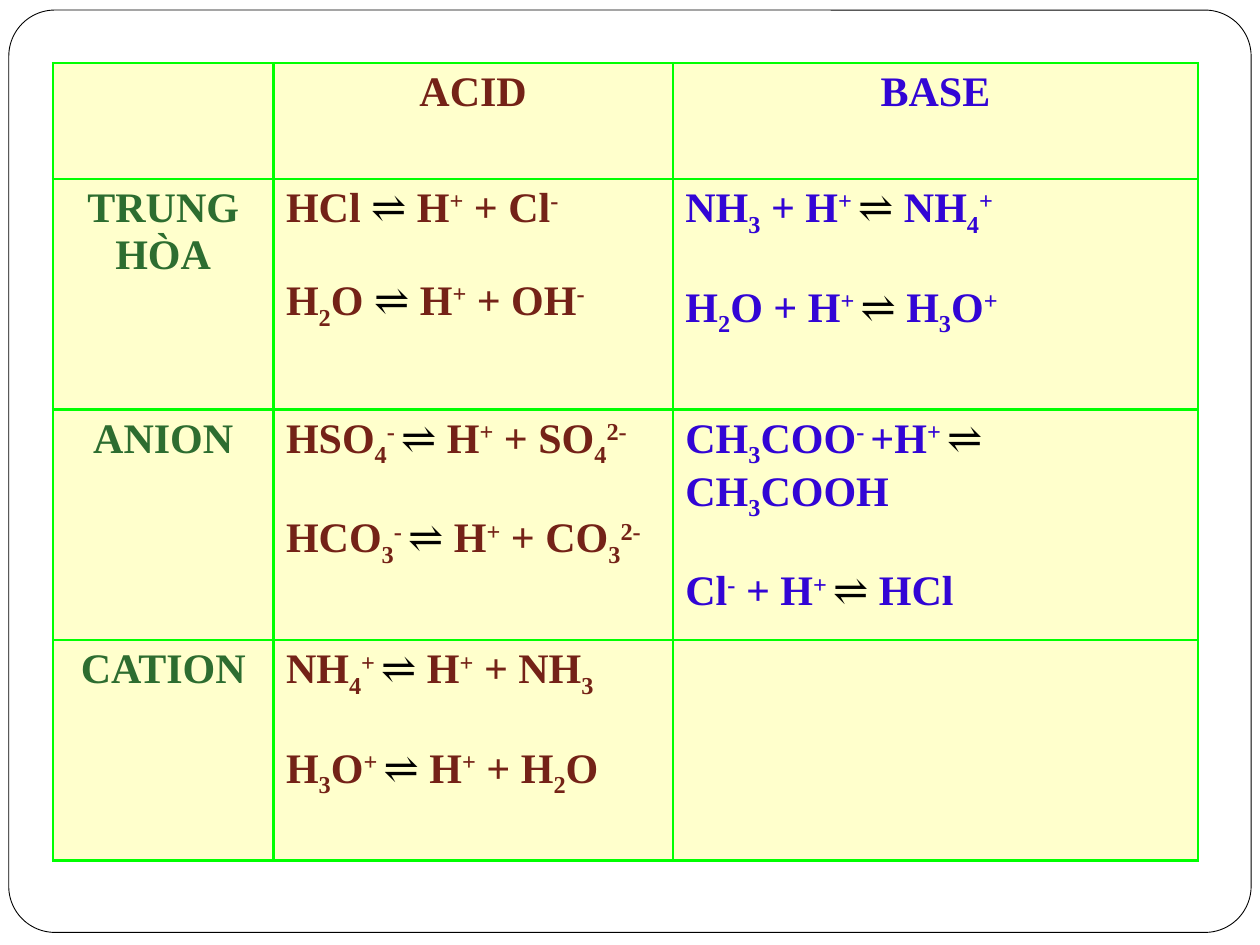
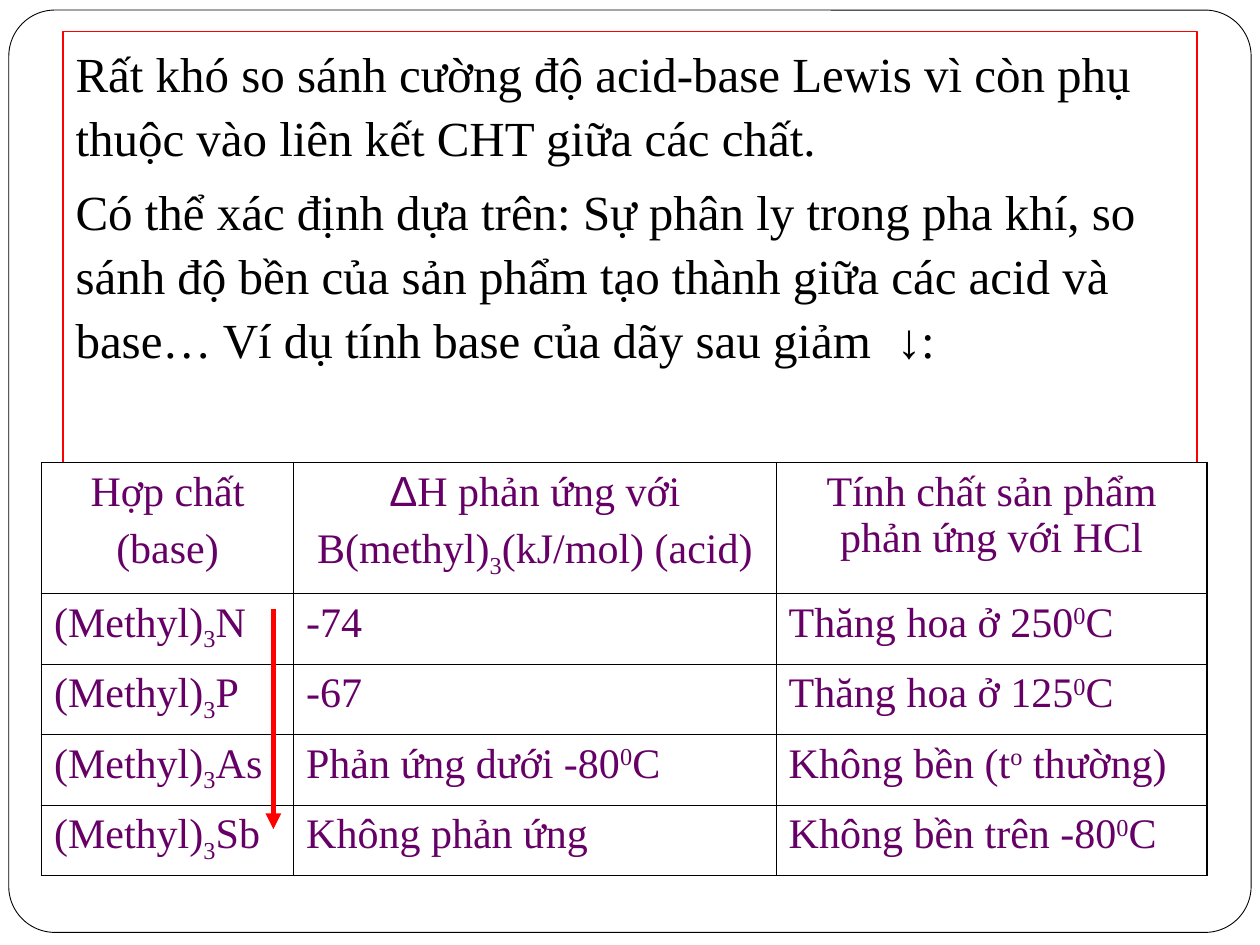
from dataclasses import dataclass

from lxml.etree import SubElement
from pptx import Presentation
from pptx.dml.color import RGBColor
from pptx.enum.shapes import MSO_CONNECTOR as CONN, MSO_SHAPE as SHAPE
from pptx.enum.text import MSO_AUTO_SIZE as AUTO, PP_ALIGN as ALIGN
from pptx.oxml import parse_xml
from pptx.oxml.ns import nsdecls, qn
from pptx.util import Inches, Pt


@dataclass(frozen=True)
class Theme:
    """Colours, fonts and type sizes of the deck."""
    font: str = "Times New Roman"
    symbol_font: str = "Arial"
    body_size: int = 28
    table_size: int = 24
    black: str = "000000"
    white: str = "FFFFFF"
    red: str = "FF0000"
    cream: str = "FFFFCC"
    grid_green: str = "00FF00"
    acid: str = "742217"
    base: str = "3205D5"
    kind: str = "2D6D30"
    purple: str = "660066"


T = Theme()
BASELINES = {"_": "-25000", "^": "30000"}

ACID_BASE = [
    [[], ["ACID"], ["BASE"]],
    [["TRUNG HÒA"],
     ["HCl |⇌| H|^+| + Cl|^-", "H|_2|O |⇌| H|^+| + OH|^-"],
     ["NH|_3| + H|^+ |⇌| NH|_4|^+", "H|_2|O + H|^+ |⇌| H|_3|O|^+"]],
    [["ANION"],
     ["HSO|_4|^- |⇌| H|^+| + SO|_4|^2-", "HCO|_3|^- |⇌| H|^+| + CO|_3|^2-"],
     ["CH|_3|COO|^- |+H|^+ |⇌| CH|_3|COOH", "Cl|^-| + H|^+ |⇌| HCl"]],
    [["CATION"],
     ["NH|_4|^+ |⇌| H|^+| + NH|_3", "H|_3|O|^+ |⇌| H|^+| + H|_2|O"],
     []],
]

LEWIS_TEXT = [
    "Rất khó so sánh cường độ acid-base Lewis vì còn phụ thuộc vào "
    "liên kết CHT giữa các chất.",
    "Có thể xác định dựa trên: Sự phân ly trong pha khí, so sánh độ bền của "
    "sản phẩm tạo thành giữa các acid và base… "
    "Ví dụ tính base của dãy sau giảm | ↓|:",
]

LEWIS_BASES = [
    [["Hợp chất", "(base)"],
     ["Δ|H phản ứng với", "B(methyl)|_3|(kJ/mol) (acid)"],
     ["Tính chất sản phẩm phản ứng với HCl"]],
    [["(Methyl)|_3|N"], ["-74"], ["Thăng hoa ở 250|^0|C"]],
    [["(Methyl)|_3|P"], ["-67"], ["Thăng hoa ở 125|^0|C"]],
    [["(Methyl)|_3|As"], ["Phản ứng dưới -80|^0|C"],
     ["Không bền (t|^o| thường)"]],
    [["(Methyl)|_3|Sb"], ["Không phản ứng"], ["Không bền trên -80|^0|C"]],
]


def rgb(color):
    """Turn a hex string into a colour."""
    return RGBColor.from_string(color)


def add_run(p, piece, size, color, bold):
    """Add one piece; a leading _ or ^ makes it a subscript or superscript."""
    baseline = BASELINES.get(piece[0])
    r = p.add_run()
    r.text = piece[1:] if baseline else piece
    is_arrow = piece == "⇌"
    r.font.name = T.symbol_font if piece.strip() in "Δ↓" else T.font
    r.font.size = Pt(size)
    r.font.bold = bold and not is_arrow
    r.font.color.rgb = rgb(T.black if is_arrow else color)
    if baseline:
        r.font._element.set("baseline", baseline)


def write(tf, lines, size=T.table_size, color=T.black, bold=False,
          align=ALIGN.LEFT, gap=0, spacing=None):
    """Write lines of |-separated pieces as paragraphs."""
    for i, line in enumerate(lines):
        p = tf.add_paragraph() if i else tf.paragraphs[0]
        p.alignment = align
        p.space_before = Pt(gap if i else 0)
        if spacing:
            p.line_spacing = spacing
        for piece in line.split("|"):
            add_run(p, piece, size, color, bold)


def set_borders(cell, color, widths):
    """Give a cell its left, right, top and bottom borders."""
    tc_pr = cell._tc.get_or_add_tcPr()
    for i, (side, width) in enumerate(zip("LRTB", widths)):
        tc_pr.insert(i, parse_xml(
            f'<a:ln{side} {nsdecls("a")} w="{Pt(width)}"><a:solidFill>'
            f'<a:srgbClr val="{color}"/></a:solidFill></a:ln{side}>'))


def add_grid(s, left, top, cols, rows, fill, line, outer, inner):
    """Add an empty table with filled cells and ruled borders."""
    tbl = s.shapes.add_table(
        len(rows), len(cols), Inches(left), Inches(top),
        Inches(sum(cols)), Inches(sum(rows))).table
    tbl.first_row = tbl.horz_banding = False
    for col, width in zip(tbl.columns, cols):
        col.width = Inches(width)
    for row, height in zip(tbl.rows, rows):
        row.height = Inches(height)
    for i in range(len(rows)):
        for j in range(len(cols)):
            cell = tbl.cell(i, j)
            cell.fill.solid()
            cell.fill.fore_color.rgb = rgb(fill)
            edges = (j == 0, j == len(cols) - 1, i == 0, i == len(rows) - 1)
            set_borders(cell, line, [outer if e else inner for e in edges])
    return tbl


def fill_grid(tbl, content, style):
    """Write the content, with the format that style(row, column) gives."""
    for i, row in enumerate(content):
        for j, lines in enumerate(row):
            write(tbl.cell(i, j).text_frame, lines, **style(i, j))


def add_slide(prs, layout):
    """Add a slide with the rounded frame at the back."""
    s = prs.slides.add_slide(prs.slide_layouts[layout])
    sp = s.shapes.add_shape(SHAPE.ROUNDED_RECTANGLE, Inches(0.07),
                            Inches(0.08), Inches(9.86), Inches(7.32))
    sp.adjustments[0] = 0.05
    sp.shadow.inherit = False
    sp.fill.solid()
    sp.fill.fore_color.rgb = rgb(T.white)
    sp.line.color.rgb = rgb(T.black)
    sp.line.width = Pt(0.5)
    s.shapes._spTree.insert(2, sp._element)
    return s


def add_body(s, lines):
    """Place the red-lined body text without bullets."""
    sp = s.placeholders[1]
    sp.left, sp.top = Inches(0.5), Inches(0.25)
    sp.width, sp.height = Inches(9), Inches(6.45)
    sp.line.color.rgb = rgb(T.red)
    sp.line.width = Pt(0.75)
    tf = sp.text_frame
    tf.word_wrap = True
    tf.auto_size = AUTO.NONE
    write(tf, lines, size=T.body_size, gap=5.8, spacing=1.09)
    for p in tf.paragraphs:
        p_pr = p._p.get_or_add_pPr()
        p_pr.set("marL", "0")
        p_pr.set("indent", "0")
        SubElement(p_pr, qn("a:buNone"))


def add_arrow(s, x, top, bottom):
    """Add a red downward arrow."""
    sp = s.shapes.add_connector(CONN.STRAIGHT, Inches(x), Inches(top),
                                Inches(x), Inches(bottom))
    sp.line.color.rgb = rgb(T.red)
    sp.line.width = Pt(3)
    SubElement(sp.line._get_or_add_ln(), qn("a:tailEnd"), type="triangle")
    SubElement(sp._element.spPr, qn("a:effectLst"))


def acid_base_style(row, col):
    """Format the acid and base table by column."""
    centred = row == 0 or col == 0
    return dict(color=(T.kind, T.acid, T.base)[col], bold=True, gap=26.6,
                align=ALIGN.CENTER if centred else ALIGN.LEFT)


def lewis_style(row, col):
    """Format the Lewis base table with a centred header."""
    return dict(color=T.purple, gap=6,
                align=ALIGN.LEFT if row else ALIGN.CENTER)


def build_acid_base(prs):
    """Build the table of acids and bases by charge."""
    s = add_slide(prs, 6)
    tbl = add_grid(s, 0.42, 0.5, [1.75, 3.17, 4.17],
                   [0.92, 1.83, 1.83, 1.75], T.cream, T.grid_green, 1.47, 1.47)
    fill_grid(tbl, ACID_BASE, acid_base_style)


def build_lewis(prs):
    """Build the slide on Lewis base strength."""
    s = add_slide(prs, 1)
    title = s.shapes.title._element
    title.getparent().remove(title)
    add_body(s, LEWIS_TEXT)
    tbl = add_grid(s, 0.33, 3.67, [2, 3.83, 3.42], [1.04] + [0.56] * 4,
                   T.white, T.black, 1.08, 0.45)
    fill_grid(tbl, LEWIS_BASES, lewis_style)
    add_arrow(s, 2.17, 4.83, 6.58)


def main():
    """Build and save the deck."""
    prs = Presentation()
    prs.slide_width, prs.slide_height = Inches(10), Inches(7.5)
    build_acid_base(prs)
    build_lewis(prs)
    prs.save("out.pptx")


if __name__ == "__main__":
    main()
